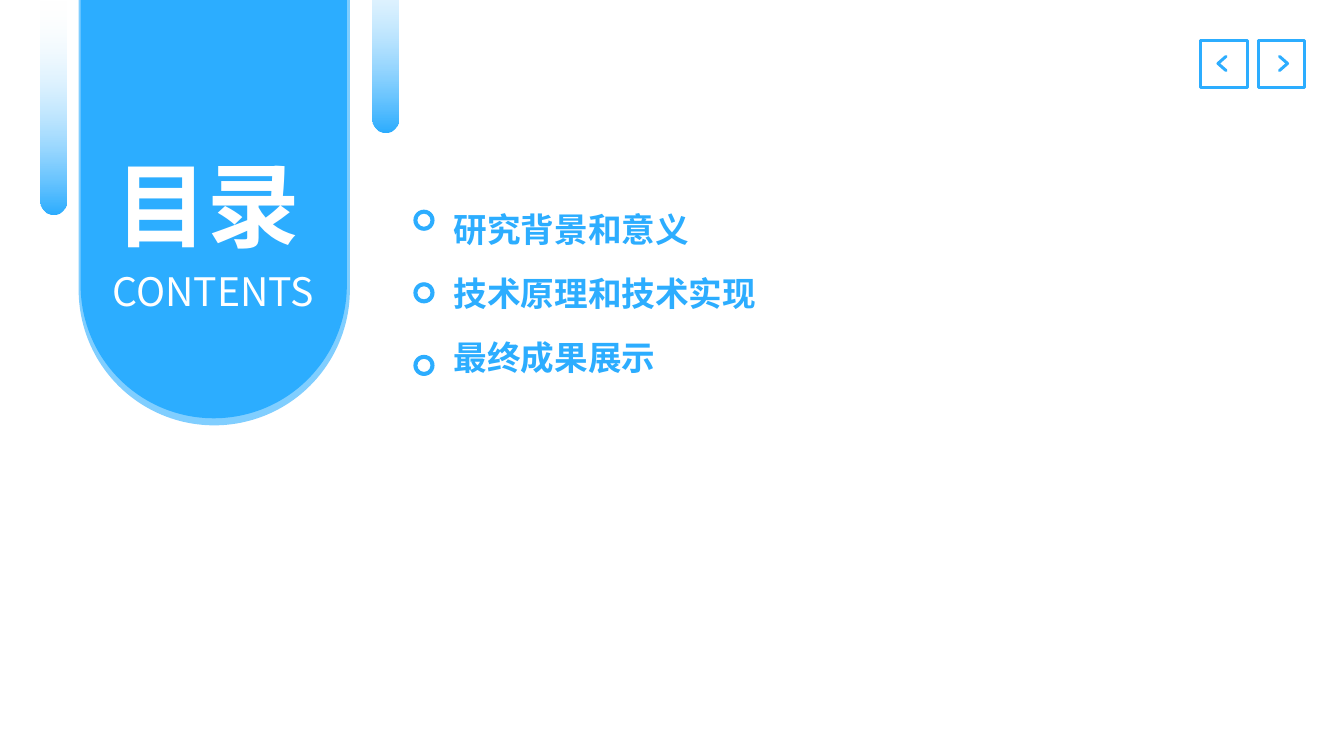
from dataclasses import dataclass

from lxml import etree
from pptx import Presentation
from pptx.dml.color import RGBColor
from pptx.enum.shapes import MSO_SHAPE
from pptx.enum.text import MSO_ANCHOR, MSO_AUTO_SIZE, PP_ALIGN
from pptx.oxml.ns import qn
from pptx.util import Inches, Pt

RECT, DONUT = MSO_SHAPE.RECTANGLE, MSO_SHAPE.DONUT
ROUND_END = MSO_SHAPE.ROUND_2_SAME_RECTANGLE
LEFT, CENTER = PP_ALIGN.LEFT, PP_ALIGN.CENTER
MIDDLE = MSO_ANCHOR.MIDDLE
NO_FIT = MSO_AUTO_SIZE.NONE


@dataclass(frozen=True)
class Theme:
    blue: RGBColor = RGBColor(0x2C, 0xAD, 0xFF)
    edge: RGBColor = RGBColor(0x80, 0xCE, 0xFF)
    pale: RGBColor = RGBColor(0xF4, 0xFB, 0xFF)
    white: RGBColor = RGBColor(0xFF, 0xFF, 0xFF)
    font: str = "Noto Sans CJK SC"
    title: int = 66
    subtitle: int = 28
    item: int = 24
    line: float = 2.13


THEME = Theme()


def place(sp, x, y, w, h):
    sp.left, sp.top, sp.width, sp.height = map(Inches, (x, y, w, h))


def write(tf, lines, size, color, bold=False, align=LEFT, spacing=1.0, gap=0):
    """Fill a text frame, one paragraph per line, with gap points between them."""
    tf.word_wrap = True
    tf.auto_size = NO_FIT
    tf.vertical_anchor = MIDDLE
    for i, line in enumerate(lines):
        p = tf.paragraphs[0] if i == 0 else tf.add_paragraph()
        p.alignment = align
        p.line_spacing = spacing
        p.space_before = Pt(gap if i else 0)
        p.space_after = Pt(0)
        r = p.add_run()
        r.text = line
        r.font.size = Pt(size)
        r.font.bold = bold
        r.font.color.rgb = color
        r.font.name = THEME.font
        ea = etree.SubElement(r.font._element, qn("a:ea"))
        ea.set("typeface", THEME.font)


def add_shape(slide, kind, x, y, w, h, fill=None, adjustments=()):
    sp = slide.shapes.add_shape(kind, *map(Inches, (x, y, w, h)))
    sp.shadow.inherit = False
    sp.line.fill.background()
    if fill is None:
        sp.fill.background()
    else:
        sp.fill.solid()
        sp.fill.fore_color.rgb = fill
    for i, value in enumerate(adjustments):
        sp.adjustments[i] = value
    return sp


def outline(sp):
    sp.line.color.rgb = THEME.blue
    sp.line.width = Pt(THEME.line)


def nav_button(slide, x, y, w, h, direction):
    """Draw a framed chevron; direction is -1 for back and 1 for forward."""
    outline(add_shape(slide, RECT, x, y, w, h))
    cx, cy = x + w / 2 + 0.02 * direction, y + h / 2 - 0.005
    back, tip = cx - 0.04 * direction, cx + 0.04 * direction
    builder = slide.shapes.build_freeform(Inches(back), Inches(cy - 0.07))
    builder.add_line_segments(
        [(Inches(tip), Inches(cy)), (Inches(back), Inches(cy + 0.07))], close=False
    )
    sp = builder.convert_to_shape()
    sp.shadow.inherit = False
    sp.fill.background()
    outline(sp)
    sp.line._get_or_add_ln().set("cap", "rnd")


def fading_bar(slide, x, y, w, h):
    """Draw a hanging bar that fades to transparent at its top."""
    sp = add_shape(slide, ROUND_END, x, y, w, h, THEME.blue, (0, 0.5))
    sp.fill.gradient()
    sp.fill.gradient_angle = 270
    for stop, color in zip(sp.fill.gradient_stops, (THEME.pale, THEME.blue)):
        stop.color.rgb = color
    top_color = sp._element.spPr.find(".//" + qn("a:srgbClr"))
    etree.SubElement(top_color, qn("a:alpha")).set("val", "0")


def title_banner(slide, x, y, w, h, title, subtitle):
    add_shape(slide, ROUND_END, x, y, w, h, THEME.edge, (0, 0.5))
    add_shape(slide, ROUND_END, x + 0.02, y, w - 0.05, h - 0.07, THEME.blue, (0, 0.5))
    fading_bar(slide, x - 0.38, y + 0.02, 0.26, 2.12)
    fading_bar(slide, x + w + 0.22, y - 0.8, 0.26, 2.12)

    box = slide.shapes.add_textbox(
        *map(Inches, (x + 0.02, y + 2.49, w - 0.06, 0.87))
    )
    write(box.text_frame, [subtitle], THEME.subtitle, THEME.white,
          align=CENTER, spacing=0.9)

    heading = slide.shapes.title
    place(heading, x + 0.05, y + 1.55, w - 0.23, 1.1)
    write(heading.text_frame, [title], THEME.title, THEME.white,
          bold=True, align=CENTER, spacing=0.9)
    # The heading must lie in front of the banner.
    heading.element.getparent().append(heading.element)


def contents_list(slide, x, y, w, items, pitch=0.72):
    ring, row, indent = 0.21, 0.59, 0.32
    body = slide.placeholders[1]
    place(body, x + indent, y, w - indent, row + pitch * (len(items) - 1))
    tf = body.text_frame
    tf.margin_left = tf.margin_right = Inches(0.08)
    tf.margin_top = tf.margin_bottom = Inches(0.04)
    write(tf, items, THEME.item, THEME.blue, bold=True, gap=17)
    for p in tf.paragraphs:
        pPr = p._p.get_or_add_pPr()
        pPr.set("marL", "0")
        pPr.set("indent", "0")
        etree.SubElement(pPr, qn("a:buNone"))
    for i in range(len(items)):
        top = y + i * pitch + (row - ring) / 2
        add_shape(slide, DONUT, x, top, ring, ring, THEME.blue, (0.19,))


def contents_slide(prs):
    slide = prs.slides.add_slide(prs.slide_layouts[1])
    for i, direction in enumerate((-1, 1)):
        nav_button(slide, 11.91 + 0.57 * i, 0.4, 0.46, 0.47, direction)
    contents_list(slide, 4.1, 1.89, 7.81,
                  ["研究背景和意义", "技术原理和技术实现", "最终成果展示"])
    title_banner(slide, 0.78, -0.01, 2.69, 4.23, "目录", "CONTENTS")


def main():
    prs = Presentation()
    prs.slide_width, prs.slide_height = Inches(13.33), Inches(7.5)
    contents_slide(prs)
    prs.save("out.pptx")


if __name__ == "__main__":
    main()
